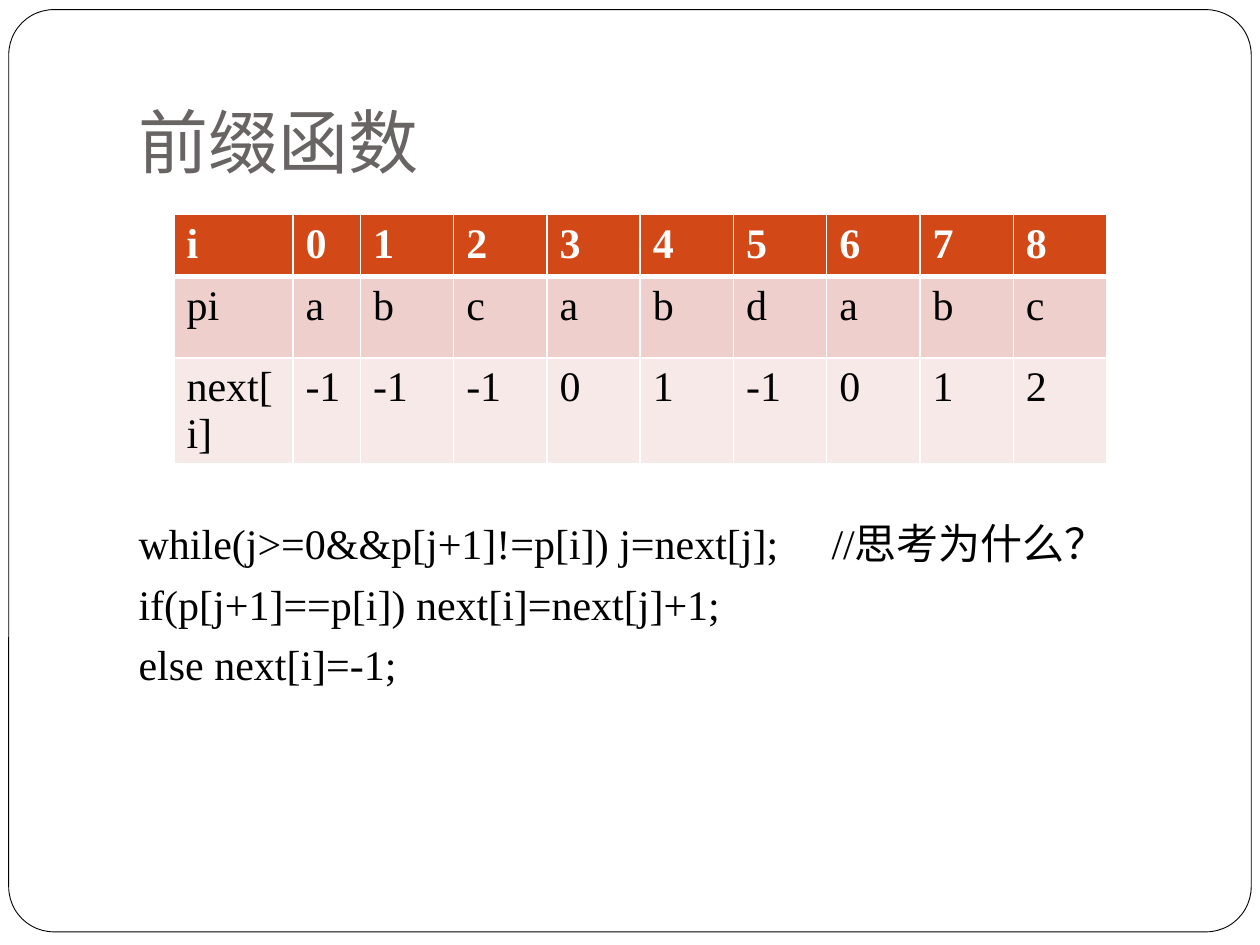
from lxml.etree import SubElement
from pptx import Presentation
from pptx.dml.color import RGBColor
from pptx.enum.shapes import MSO_SHAPE
from pptx.enum.text import MSO_ANCHOR, MSO_AUTO_SIZE, PP_ALIGN
from pptx.oxml.ns import qn
from pptx.util import Pt

WHITE = RGBColor(0xFF, 0xFF, 0xFF)
BLACK = RGBColor(0, 0, 0)
GREY = RGBColor(0x69, 0x64, 0x64)
ORANGE = RGBColor(0xD3, 0x48, 0x17)
ROSE = RGBColor(0xEF, 0xCF, 0xCC)
PALE_ROSE = RGBColor(0xF7, 0xE9, 0xE8)
TEXT_FONT = "Times New Roman"

CODE_LINES = [
    "while(j>=0&&p[j+1]!=p[i]) j=next[j];\t//思考为什么？",
    "if(p[j+1]==p[i]) next[i]=next[j]+1;",
    "else next[i]=-1;",
]
PREFIX_ROWS = [
    ["i", *"012345678"],
    ["pi", *"abcabdabc"],
    ["next[i]", "-1", "-1", "-1", "0", "1", "-1", "0", "1", "2"],
]
COLUMN_WIDTHS = [68, 38.6] + [53.3] * 8
ROW_HEIGHTS = [35.3, 46.8, 60.5]
ROW_FILLS = [ORANGE, ROSE, PALE_ROSE]


def place(shape, box):
    shape.left, shape.top, shape.width, shape.height = map(Pt, box)


def add_span(para, text, font, size, color, bold=False):
    span = para.add_run()
    span.text = text
    span.font.name = font
    span.font.size = Pt(size)
    span.font.color.rgb = color
    span.font.bold = bold


def add_page_frame(page, box):
    frame = page.shapes.add_shape(MSO_SHAPE.ROUNDED_RECTANGLE, *map(Pt, box))
    frame.adjustments[0] = 0.049
    frame.shadow.inherit = False
    frame.fill.solid()
    frame.fill.fore_color.rgb = WHITE
    frame.line.color.rgb = BLACK
    frame.line.width = Pt(0.5)
    page.shapes._spTree.insert(2, frame._element)


def fill_title(page, box):
    title = page.shapes.title
    place(title, box)
    text_frame = title.text_frame
    text_frame.auto_size = MSO_AUTO_SIZE.NONE
    text_frame.vertical_anchor = MSO_ANCHOR.BOTTOM
    text_frame.margin_bottom = Pt(7.2)
    para = text_frame.paragraphs[0]
    para.alignment = PP_ALIGN.LEFT
    add_span(para, "前缀函数", "Cabin", 40, GREY)


def fill_code(page, box):
    body = page.placeholders[1]
    place(body, box)
    text_frame = body.text_frame
    text_frame.auto_size = MSO_AUTO_SIZE.NONE
    for index, line in enumerate(CODE_LINES):
        para = text_frame.add_paragraph() if index else text_frame.paragraphs[0]
        para.space_before = Pt(5.8)
        properties = para._p.get_or_add_pPr()
        properties.set("marL", "0")
        properties.set("indent", "0")
        SubElement(properties, qn("a:buNone"))
        add_span(para, line, TEXT_FONT, 24, BLACK)


def add_borders(cell, widths):
    properties = cell._tc.get_or_add_tcPr()
    for side, width in widths.items():
        line = SubElement(properties, qn("a:ln" + side), w=str(Pt(width)))
        fill = SubElement(line, qn("a:solidFill"))
        SubElement(fill, qn("a:srgbClr"), val=str(WHITE))


def add_prefix_table(page, box):
    table = page.shapes.add_table(
        len(ROW_HEIGHTS), len(COLUMN_WIDTHS), *map(Pt, box)
    ).table
    for column, width in zip(table.columns, COLUMN_WIDTHS):
        column.width = Pt(width)
    for row_index, values in enumerate(PREFIX_ROWS):
        header = row_index == 0
        table.rows[row_index].height = Pt(ROW_HEIGHTS[row_index])
        top, bottom = 3 if row_index == 1 else 1, 3 if header else 1
        for cell, value in zip(table.rows[row_index].cells, values):
            add_borders(cell, {"L": 1, "R": 1, "T": top, "B": bottom})
            cell.fill.solid()
            cell.fill.fore_color.rgb = ROW_FILLS[row_index]
            add_span(cell.text_frame.paragraphs[0], value, TEXT_FONT, 24,
                     WHITE if header else BLACK, header)


def main():
    deck = Presentation()
    deck.slide_width, deck.slide_height = Pt(720), Pt(540)
    page = deck.slides.add_slide(deck.slide_layouts[1])
    add_page_frame(page, (5, 5.5, 710, 527))
    fill_title(page, (72, 21.6, 612, 90))
    fill_code(page, (72, 292.3, 612, 181.4))
    add_prefix_table(page, (99.4, 122.6, 533, 142.6))
    deck.save("out.pptx")


if __name__ == "__main__":
    main()
